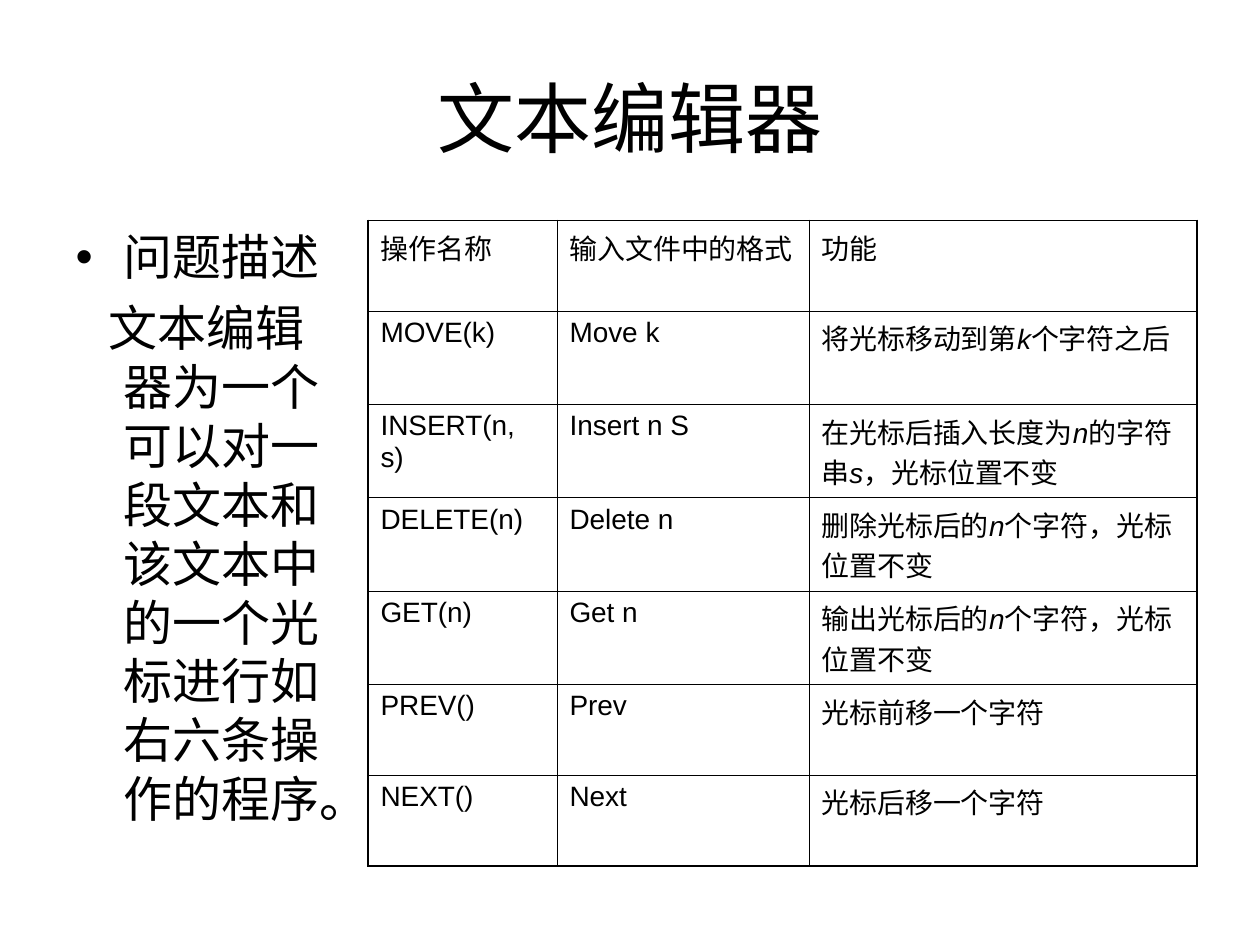
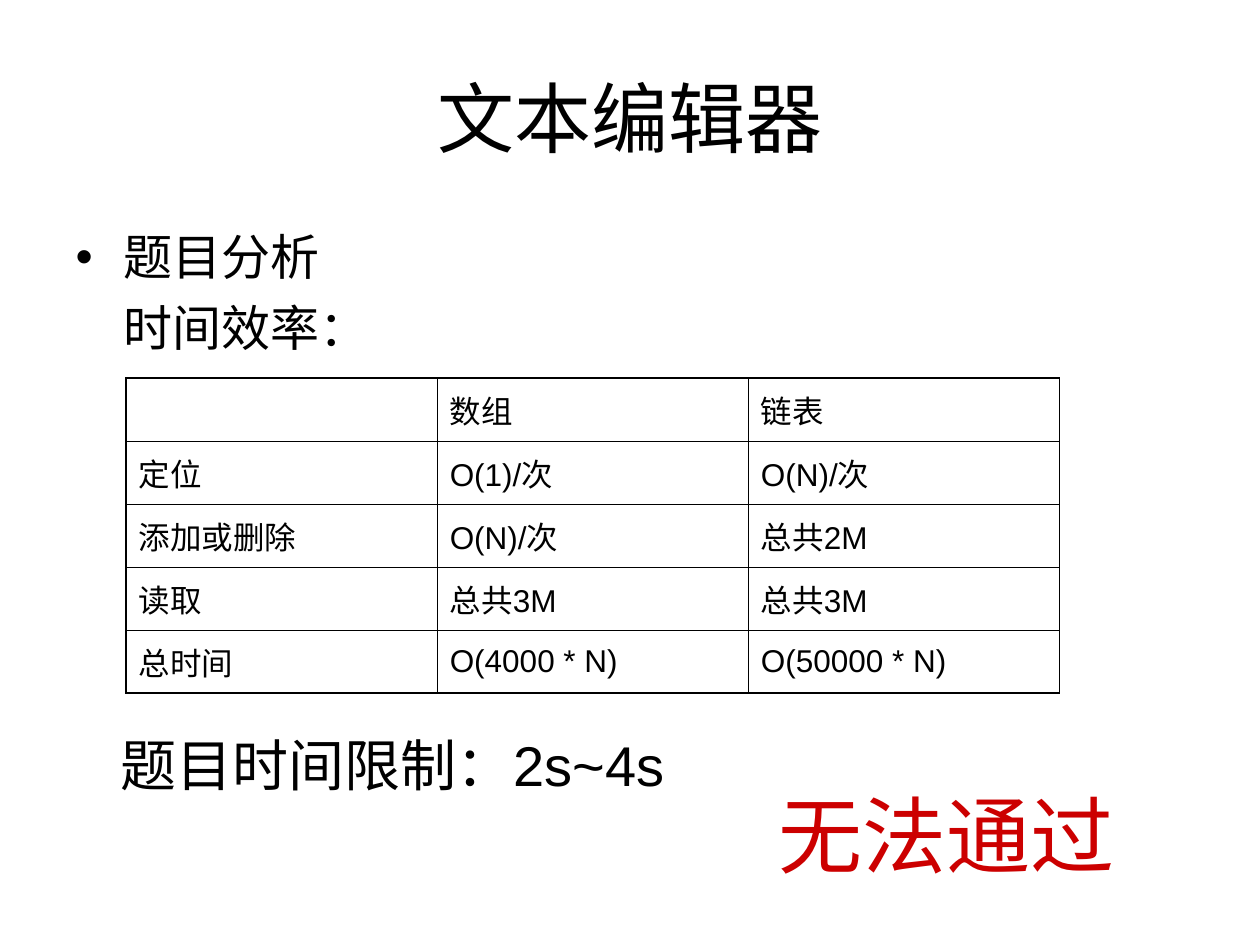
"""Build two slides on the text editor problem: its operations and its time costs."""
from dataclasses import dataclass
from typing import Any

import pptx
import pptx.dml.color
import pptx.enum.text
import pptx.oxml
import pptx.oxml.ns
import pptx.util
from pptx.util import Inches

FONT = "Arial"
COLORS = {"ink": "000000", "verdict": "CC0000"}
TITLE = "文本编辑器"
OUTER_PT, INNER_PT = 1.08, 0.45
HANG = 0.38
ANCHOR = pptx.enum.text.MSO_ANCHOR


@dataclass
class Box:
    left: float
    top: float
    width: float
    height: float

    def emu(self) -> tuple[int, int, int, int]:
        return tuple(Inches(n) for n in (self.left, self.top, self.width, self.height))


@dataclass
class Line:
    text: str
    first_indent: float = 0
    bullet: bool = False


@dataclass
class Grid:
    left: float
    top: float
    columns: list[float]
    row_height: float
    size: int
    anchor: Any
    rows: list[list[str]]


@dataclass
class Note:
    box: Box
    text: str
    size: int
    color: str
    wrap: bool


@dataclass
class Page:
    body: Box
    lines: list[Line]
    grid: Grid
    notes: list[Note]


TITLE_BOX = Box(0.5, 0.3, 9, 1.25)

PAGES = [
    Page(
        Box(0.5, 1.75, 2.33, 5.33),
        [Line("问题描述", -HANG, True),
         Line("文本编辑器为一个可以对一段文本和该文本中的一个光标进行如右六条操作的程序。", -0.12)],
        Grid(2.92, 1.75, [1.5, 2, 3.08], 0.72, 16, ANCHOR.TOP, [
            ["操作名称", "输入文件中的格式", "功能"],
            ["MOVE(k)", "Move k", "将光标移动到第_k_个字符之后"],
            ["INSERT(n, s)", "Insert n S", "在光标后插入长度为_n_的字符串_s_，光标位置不变"],
            ["DELETE(n)", "Delete n", "删除光标后的_n_个字符，光标位置不变"],
            ["GET(n)", "Get n", "输出光标后的_n_个字符，光标位置不变"],
            ["PREV()", "Prev", "光标前移一个字符"],
            ["NEXT()", "Next", "光标后移一个字符"],
        ]),
        [],
    ),
    Page(
        Box(0.5, 1.75, 4.33, 1.17),
        [Line("题目分析", -HANG, True), Line("时间效率：")],
        Grid(1, 3, [2.47] * 3, 0.5, 18, ANCHOR.MIDDLE, [
            ["", "数组", "链表"],
            ["定位", "O(1)/次", "O(N)/次"],
            ["添加或删除", "O(N)/次", "总共2M"],
            ["读取", "总共3M", "总共3M"],
            ["总时间", "O(4000 * N)", "O(50000 * N)"],
        ]),
        [Note(Box(0.86, 5.75, 4.62, 0.64), "题目时间限制：2s~4s", 32, "ink", False),
         Note(Box(6.08, 6.17, 3, 0.9), "无法通过", 48, "verdict", True)],
    ),
]


def xml(markup: str) -> Any:
    head, sep, tail = markup.partition(" ")
    return pptx.oxml.parse_xml(f"{head} {pptx.oxml.ns.nsdecls('a')}{sep}{tail}")


def style(p: Any, size: float, color: str = "ink") -> None:
    for r in p.runs:
        r.font.name = FONT
        r.font.size = pptx.util.Pt(size)
        r.font.color.rgb = pptx.dml.color.RGBColor.from_string(COLORS[color])


def place(sp: Any, box: Box) -> None:
    sp.left, sp.top, sp.width, sp.height = box.emu()


def draw_title(sp: Any) -> None:
    place(sp, TITLE_BOX)
    tf = sp.text_frame
    tf.text = TITLE
    tf.vertical_anchor = ANCHOR.MIDDLE
    tf.paragraphs[0].alignment = pptx.enum.text.PP_ALIGN.CENTER
    style(tf.paragraphs[0], 44)


def draw_body(sp: Any, box: Box, lines: list[Line]) -> None:
    place(sp, box)
    tf = sp.text_frame
    tf.text = "\n".join(line.text for line in lines)
    tf.auto_size = pptx.enum.text.MSO_AUTO_SIZE.NONE
    for i, (p, line) in enumerate(zip(tf.paragraphs, lines)):
        pPr = p._p.get_or_add_pPr()
        pPr.set("marL", str(Inches(HANG)))
        pPr.set("indent", str(Inches(line.first_indent)))
        pPr.append(xml('<a:buChar char="•"/>' if line.bullet else "<a:buNone />"))
        p.space_before = pptx.util.Pt(7 if i else 0)
        style(p, 28)


def set_borders(cell: Any, widths: dict[str, float]) -> None:
    tcPr = cell._tc.get_or_add_tcPr()
    for i, (side, width) in enumerate(widths.items()):
        tcPr.insert(i, xml(
            f'<a:ln{side} w="{pptx.util.Pt(width)}"><a:solidFill>'
            f'<a:srgbClr val="{COLORS["ink"]}"/></a:solidFill></a:ln{side}>'))


def fill_cell(cell: Any, text: str, grid: Grid) -> None:
    cell.fill.background()
    cell.vertical_anchor = grid.anchor
    p = cell.text_frame.paragraphs[0]
    for i, part in enumerate(text.split("_")):
        if part:
            r = p.add_run()
            r.text = part
            r.font.italic = i % 2 == 1
    style(p, grid.size)


def draw_grid(slide: Any, grid: Grid) -> None:
    n_rows, n_cols = len(grid.rows), len(grid.columns)
    box = Box(grid.left, grid.top, sum(grid.columns), n_rows * grid.row_height)
    table = slide.shapes.add_table(n_rows, n_cols, *box.emu()).table
    table.first_row = table.horz_banding = False
    for column, width in zip(table.columns, grid.columns):
        column.width = Inches(width)
    for y, row in enumerate(grid.rows):
        table.rows[y].height = Inches(grid.row_height)
        for x, text in enumerate(row):
            cell = table.cell(y, x)
            fill_cell(cell, text, grid)
            outer = {"L": x == 0, "R": x == n_cols - 1, "T": y == 0, "B": y == n_rows - 1}
            set_borders(cell, {s: OUTER_PT if edge else INNER_PT for s, edge in outer.items()})


def draw_note(slide: Any, note: Note) -> None:
    tf = slide.shapes.add_textbox(*note.box.emu()).text_frame
    tf.text = note.text
    tf.word_wrap = note.wrap
    tf.auto_size = pptx.enum.text.MSO_AUTO_SIZE.SHAPE_TO_FIT_TEXT
    style(tf.paragraphs[0], note.size, note.color)


def main() -> None:
    prs = pptx.Presentation()
    prs.slide_width, prs.slide_height = Inches(10), Inches(7.5)
    for page in PAGES:
        slide = prs.slides.add_slide(prs.slide_layouts[1])
        draw_title(slide.shapes.title)
        draw_body(slide.placeholders[1], page.body, page.lines)
        draw_grid(slide, page.grid)
        for note in page.notes:
            draw_note(slide, note)
    prs.save("out.pptx")


if __name__ == "__main__":
    main()
